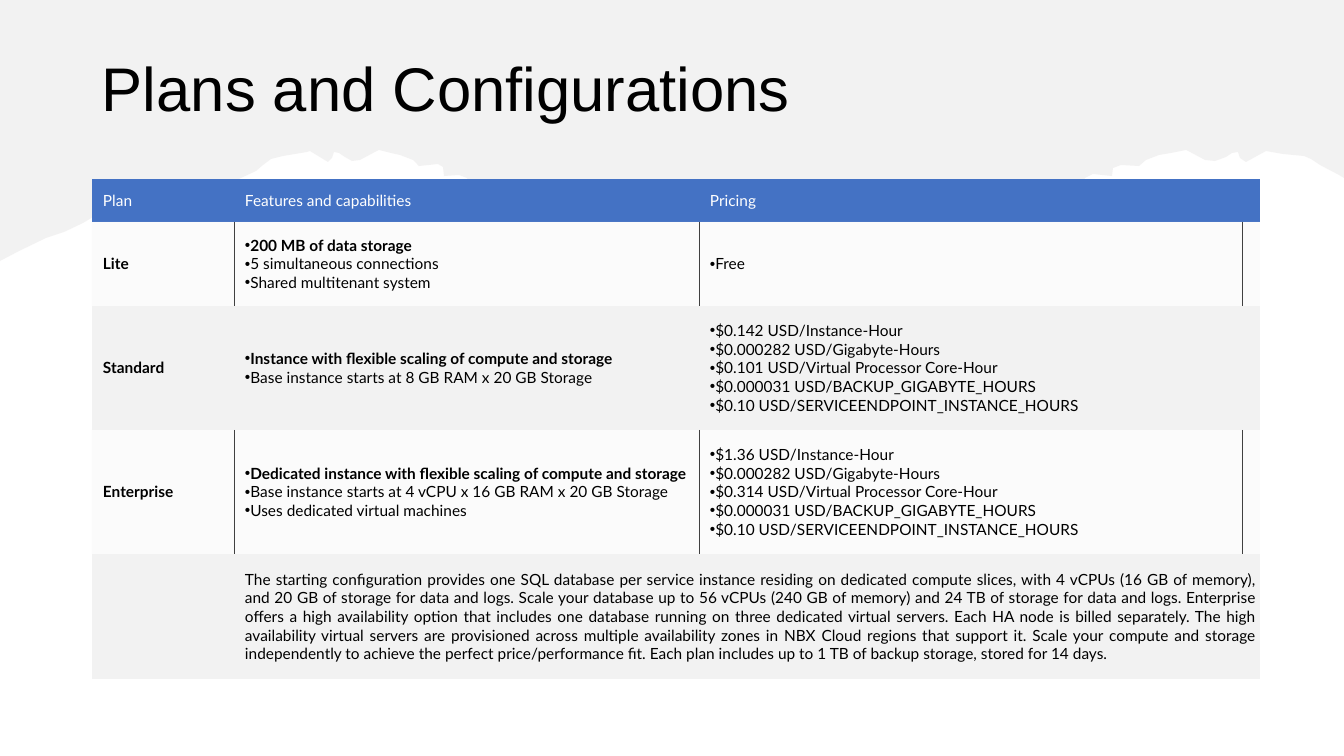
import pptx
import pptx.util
import pptx.dml.color
import pptx.enum.text
import pptx.oxml
import pptx.oxml.ns

TITLE = "Plans and Configurations"
HEADER = ["Plan", "Features and capabilities", "Pricing"]
PLANS = [
    ("Lite",
     ["200 MB of data storage", "5 simultaneous connections", "Shared multitenant system"],
     ["Free"]),
    ("Standard",
     ["Instance with flexible scaling of compute and storage",
      "Base instance starts at 8 GB RAM x 20 GB Storage"],
     ["$0.142 USD/Instance-Hour", "$0.000282 USD/Gigabyte-Hours",
      "$0.101 USD/Virtual Processor Core-Hour", "$0.000031 USD/BACKUP_GIGABYTE_HOURS",
      "$0.10 USD/SERVICEENDPOINT_INSTANCE_HOURS"]),
    ("Enterprise",
     ["Dedicated instance with flexible scaling of compute and storage",
      "Base instance starts at 4 vCPU x 16 GB RAM x 20 GB Storage",
      "Uses dedicated virtual machines"],
     ["$1.36 USD/Instance-Hour", "$0.000282 USD/Gigabyte-Hours",
      "$0.314 USD/Virtual Processor Core-Hour", "$0.000031 USD/BACKUP_GIGABYTE_HOURS",
      "$0.10 USD/SERVICEENDPOINT_INSTANCE_HOURS"]),
]
FOOTNOTE = (
    "The starting configuration provides one SQL database per service instance residing on "
    "dedicated compute slices, with 4 vCPUs (16 GB of memory), and 20 GB of storage for data "
    "and logs. Scale your database up to 56 vCPUs (240 GB of memory) and 24 TB of storage for "
    "data and logs. Enterprise offers a high availability option that includes one database "
    "running on three dedicated virtual servers. Each HA node is billed separately. The high "
    "availability virtual servers are provisioned across multiple availability zones in NBX "
    "Cloud regions that support it. Scale your compute and storage independently to achieve "
    "the perfect price/performance fit. Each plan includes up to 1 TB of backup storage, "
    "stored for 14 days.")

TORN_EDGE = [
    (0, 261), (19, 251), (46, 238), (64, 232), (83, 223), (98, 214), (114, 210), (121, 217),
    (151, 208), (200, 197), (241, 178), (256, 171), (263, 165), (271, 159), (283, 156),
    (295, 154), (307, 152), (310, 151), (328, 162), (332, 158), (334, 152), (339, 153),
    (345, 157), (352, 161), (360, 160), (373, 153), (379, 150), (391, 153), (400, 155),
    (413, 160), (419, 166), (438, 164), (443, 167), (444, 176), (459, 175), (467, 178),
    (475, 198), (531, 181), (542, 179), (576, 192), (592, 198), (592, 210), (602, 204),
    (634, 193), (659, 201), (669, 201), (691, 195), (714, 187), (742, 190), (753, 196),
    (766, 190), (799, 187), (825, 195), (858, 204), (862, 201), (891, 193), (928, 204),
    (940, 210), (939, 198), (958, 192), (997, 179), (1010, 181), (1076, 198), (1085, 178),
    (1093, 174), (1112, 176), (1113, 168), (1121, 165), (1139, 166), (1146, 160), (1159, 155),
    (1171, 153), (1186, 150), (1192, 153), (1205, 160), (1215, 161), (1226, 157), (1232, 153),
    (1238, 152), (1240, 158), (1246, 162), (1266, 151), (1283, 154), (1304, 156), (1311, 159),
    (1320, 165), (1339, 175), (1344, 178),
]

SLIDE_SIZE = 1344, 756
TABLE_LEFT, TABLE_TOP = 92, 179
COLUMN_WIDTHS = [142, 465, 543, 17]
ROW_HEIGHTS = [43, 84, 124, 124, 125]
EMU_PER_PX = 914400 / 100.8
BLUE, PALE, BLACK, WHITE, RULE = "4472C4", "F2F2F2", "000000", "FFFFFF", "404040"
qn = pptx.oxml.ns.qn
NS = pptx.oxml.ns.nsdecls("a")


def px(length):
    return pptx.util.Emu(round(length * EMU_PER_PX))


def rgb(value):
    return pptx.dml.color.RGBColor.from_string(value)


def paint(fill, element, color, opacity):
    """Fill solidly; element holds the fill and takes the opacity in percent."""
    fill.solid()
    fill.fore_color.rgb = rgb(color)
    if opacity < 100:
        srgb = next(element.iter(qn("a:srgbClr")))
        srgb.append(pptx.oxml.parse_xml(f'<a:alpha {NS} val="{opacity * 1000}"/>'))


def set_borders(cell, ruled):
    """Draw a thin rule on the sides in ruled and clear the other sides."""
    for position, side in enumerate("LRTB"):
        line = (f'<a:solidFill><a:srgbClr val="{RULE}"/></a:solidFill>'
                if side in ruled else "<a:noFill/>")
        cell._tc.tcPr.insert(position, pptx.oxml.parse_xml(
            f'<a:ln{side} {NS} w="6350">{line}</a:ln{side}>'))


def style_run(run, font, size, color, bold=False):
    run.font.name, run.font.size, run.font.bold = font, pptx.util.Pt(size), bold
    run.font.color.rgb = rgb(color)


def add_bullet(paragraph):
    properties = paragraph._p.get_or_add_pPr()
    properties.set("marL", "0")
    properties.set("indent", "0")
    properties.append(pptx.oxml.parse_xml(f'<a:buFont {NS} typeface="Arial"/>'))
    properties.append(pptx.oxml.parse_xml(f'<a:buChar {NS} char="•"/>'))


def write_cell(cell, lines, color, bold_first, bulleted):
    cell.vertical_anchor = pptx.enum.text.MSO_ANCHOR.MIDDLE
    cell.margin_left, cell.margin_right = px(11), px(3)
    cell.margin_top = cell.margin_bottom = px(8 if lines else 0)
    cell.text_frame.text = "\n".join(lines)
    for index, paragraph in enumerate(cell.text_frame.paragraphs):
        for run in paragraph.runs:
            style_run(run, "Lato", 11, color, bold_first and index == 0)
        if bulleted:
            add_bullet(paragraph)


def add_torn_band(slide):
    builder = slide.shapes.build_freeform(*TORN_EDGE[0], scale=EMU_PER_PX)
    builder.add_line_segments(TORN_EDGE[1:] + [(SLIDE_SIZE[0], 0), (0, 0)], close=True)
    band = builder.convert_to_shape()
    band.shadow.inherit = False
    band.line.fill.background()
    paint(band.fill, band._element.spPr, "E7E6E6", 50)


def add_title(slide):
    frame = slide.shapes.add_textbox(px(92), px(40), px(1159), px(103)).text_frame
    frame.word_wrap = True
    frame.vertical_anchor = pptx.enum.text.MSO_ANCHOR.MIDDLE
    frame.text = TITLE
    heading = frame.paragraphs[0]
    heading.line_spacing, heading.space_after = 0.9, pptx.util.Pt(6)
    style_run(heading.runs[0], "Arial", 44, BLACK)


def add_plan_table(slide):
    table = slide.shapes.add_table(
        len(ROW_HEIGHTS), len(COLUMN_WIDTHS), px(TABLE_LEFT), px(TABLE_TOP),
        px(sum(COLUMN_WIDTHS)), px(sum(ROW_HEIGHTS))).table
    table.first_row = table.horz_banding = False
    for column, width in zip(table.columns, COLUMN_WIDTHS):
        column.width = px(width)
    for row, height in zip(table.rows, ROW_HEIGHTS):
        row.height = px(height)

    rows = [[[label] for label in HEADER] + [[]]]
    rows += [[[plan], features, pricing, []] for plan, features, pricing in PLANS]
    rows += [[[], [FOOTNOTE], [], []]]
    last_row, last_column = len(rows) - 1, len(COLUMN_WIDTHS) - 1
    for r, row in enumerate(rows):
        ruled_row = r % 2 == 1
        is_plan = 0 < r < last_row
        for c, lines in enumerate(row):
            cell = table.cell(r, c)
            write_cell(cell, lines, BLACK if r else WHITE,
                       bold_first=is_plan and c < 2, bulleted=is_plan and c in (1, 2))
            paint(cell.fill, cell._tc.tcPr, PALE if r else BLUE, 30 if ruled_row else 100)
            sides = ("L" if c else "") + ("R" if c < last_column else "")
            set_borders(cell, sides if ruled_row else "")

    footnote = table.cell(last_row, 1)
    footnote.merge(table.cell(last_row, last_column))
    footnote.text_frame.paragraphs[0].alignment = pptx.enum.text.PP_ALIGN.JUSTIFY


def main():
    deck = pptx.Presentation()
    deck.slide_width, deck.slide_height = map(px, SLIDE_SIZE)
    slide = deck.slides.add_slide(deck.slide_layouts[6])
    add_torn_band(slide)
    add_title(slide)
    add_plan_table(slide)
    deck.save("out.pptx")


if __name__ == "__main__":
    main()
